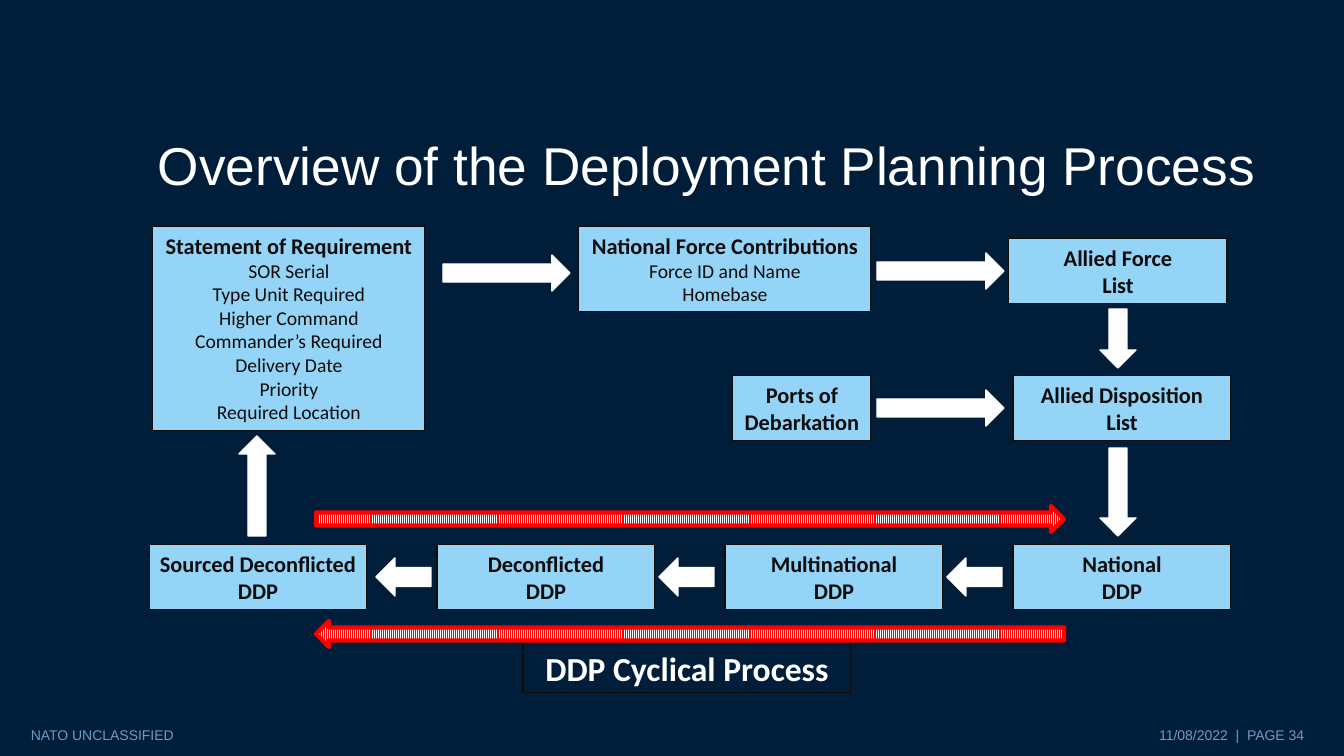
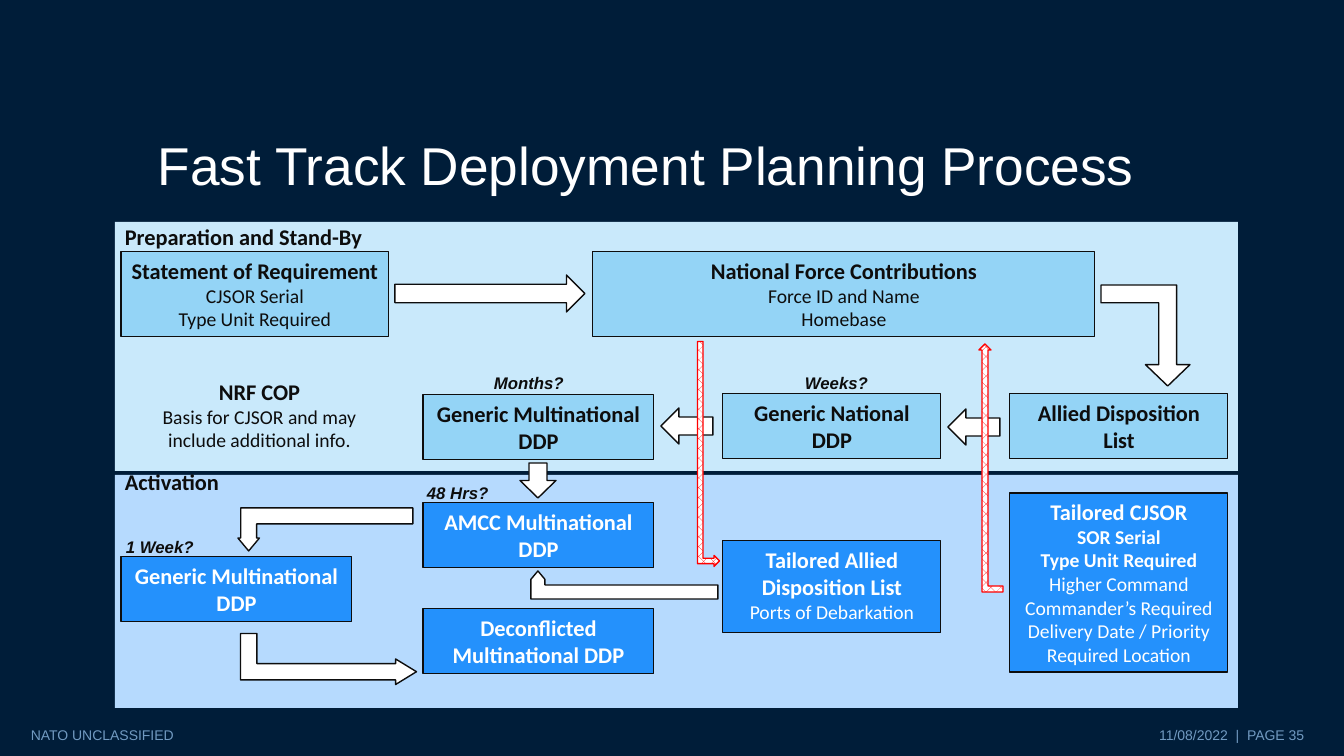
from dataclasses import dataclass
from typing import NamedTuple, Optional

import pptx
import pptx.dml.color
import pptx.enum.dml
import pptx.enum.shapes
import pptx.enum.text
import pptx.oxml
import pptx.oxml.ns
import pptx.util

PRESET = pptx.enum.shapes.MSO_SHAPE
PATTERN = pptx.enum.dml.MSO_PATTERN
ALIGN = pptx.enum.text.PP_ALIGN
ANCHOR = pptx.enum.text.MSO_ANCHOR
EMU_PER_PX = 914400 / 100.8


@dataclass(frozen=True)
class Theme:
    background: str = "001D39"
    footer_ink: str = "719AC1"
    ink: str = "0D0D0D"
    white: str = "FFFFFF"
    red: str = "FF0000"
    light_box: str = "94D4F6"
    strong_box: str = "2491FC"
    preparation: str = "C9E9FB"
    activation: str = "B6DAFE"
    title_size: int = 38
    title_leading: int = 42
    caption_size: int = 24
    head_size: int = 16
    detail_size: int = 14
    timing_size: int = 12
    footer_size: int = 10
    heading_font: str = "Arial"
    body_font: str = "Calibri"


THEME = Theme()


class Frame(NamedTuple):
    left: int
    top: int
    width: int
    height: int


class Line(NamedTuple):
    text: str
    format: dict


@dataclass(frozen=True)
class Box:
    frame: Frame
    lines: tuple = ()
    fill: Optional[str] = None
    border: Optional[str] = None
    ink: str = THEME.ink
    align: ALIGN = ALIGN.CENTER
    anchor: ANCHOR = ANCHOR.TOP
    leading: Optional[int] = None


@dataclass(frozen=True)
class Arrow:
    preset: PRESET
    frame: Frame
    border: str = THEME.white
    weight: int = 1
    pattern: Optional[PATTERN] = None
    rotation: int = 0
    flips: tuple = ()
    adjustments: tuple = ()


# Text formats
def text_format(font: str, size: int, bold: bool = False, italic: bool = False) -> dict:
    return {"name": font, "size": pptx.util.Pt(size), "bold": bold, "italic": italic}


TITLE = text_format(THEME.heading_font, THEME.title_size)
FOOTER = text_format(THEME.heading_font, THEME.footer_size)
TIMING = text_format(THEME.heading_font, THEME.timing_size, True, True)
CAPTION = text_format(THEME.body_font, THEME.caption_size, True)
HEAD = text_format(THEME.body_font, THEME.head_size, True)
DETAIL = text_format(THEME.body_font, THEME.detail_size)
KEY_DETAIL = text_format(THEME.body_font, THEME.detail_size, True)


def lines(style: dict, *texts: str) -> tuple:
    return tuple(Line(text, style) for text in texts)


def light(frame: Frame, *content: Line) -> Box:
    return Box(frame, content, THEME.light_box, THEME.ink)


def strong(frame: Frame, *content: Line) -> Box:
    return Box(frame, content, THEME.strong_box, THEME.ink, THEME.white)


def label(left: int, top: int, text: str, style: dict = HEAD) -> Box:
    return Box(Frame(left, top, 259, 37), lines(style, text), align=ALIGN.LEFT)


# Drawing
def rgb(value: str) -> pptx.dml.color.RGBColor:
    return pptx.dml.color.RGBColor.from_string(value)


def emu(frame: Frame) -> list:
    return [round(length * EMU_PER_PX) for length in frame]


def set_line(shape, color: Optional[str], weight: float) -> None:
    if color is None:
        shape.line.fill.background()
        return
    shape.line.color.rgb = rgb(color)
    shape.line.width = pptx.util.Pt(weight)


def draw_box(slide, box: Box) -> None:
    if box.fill or box.border:
        shape = slide.shapes.add_shape(PRESET.RECTANGLE, *emu(box.frame))
        shape.shadow.inherit = False
        set_line(shape, box.border, 0.75)
        if box.fill:
            shape.fill.solid()
            shape.fill.fore_color.rgb = rgb(box.fill)
        else:
            shape.fill.background()
    else:
        shape = slide.shapes.add_textbox(*emu(box.frame))
    frame = shape.text_frame
    frame.word_wrap = True
    frame.vertical_anchor = box.anchor
    for index, line in enumerate(box.lines):
        paragraph = frame.add_paragraph() if index else frame.paragraphs[0]
        paragraph.alignment = box.align
        if box.leading:
            paragraph.line_spacing = pptx.util.Pt(box.leading)
        run = paragraph.add_run()
        run.text = line.text
        run.font.color.rgb = rgb(box.ink)
        for attribute, value in line.format.items():
            setattr(run.font, attribute, value)


def draw_arrow(slide, arrow: Arrow) -> None:
    shape = slide.shapes.add_shape(arrow.preset, *emu(arrow.frame))
    shape.shadow.inherit = False
    shape.rotation = arrow.rotation
    for flip in arrow.flips:
        shape.element.spPr.xfrm.set(flip, "1")
    for index, value in enumerate(arrow.adjustments):
        shape.adjustments[index] = value
    if arrow.pattern:
        shape.fill.patterned()
        shape.fill.pattern = arrow.pattern
        shape.fill.fore_color.rgb = rgb(THEME.red)
        shape.fill.back_color.rgb = rgb(THEME.white)
    else:
        shape.fill.solid()
        shape.fill.fore_color.rgb = rgb(THEME.white)
    set_line(shape, arrow.border, arrow.weight)


def add_page(deck, title: str, page: int, boxes: list, arrows: list) -> None:
    slide = deck.slides.add_slide(deck.slide_layouts[6])
    furniture = [
        Box(Frame(148, 123, 1167, 88), lines(TITLE, title), ink=THEME.white,
            align=ALIGN.LEFT, anchor=ANCHOR.MIDDLE, leading=THEME.title_leading),
        Box(Frame(21, 715, 454, 40), lines(FOOTER, "NATO UNCLASSIFIED"),
            ink=THEME.footer_ink, align=ALIGN.LEFT, anchor=ANCHOR.MIDDLE),
        Box(Frame(1012, 715, 302, 40), lines(FOOTER, f"11/08/2022  |  PAGE {page}"),
            ink=THEME.footer_ink, align=ALIGN.RIGHT, anchor=ANCHOR.MIDDLE),
    ]
    for box in furniture + boxes:
        draw_box(slide, box)
    for arrow in arrows:
        draw_arrow(slide, arrow)


# Deployment planning overview
def overview(deck) -> None:
    ddp_stages = ("Sourced Deconflicted", "Deconflicted", "Multinational", "National")
    boxes = [
        light(Frame(153, 227, 272, 204), *lines(HEAD, "Statement of Requirement"),
              *lines(DETAIL, "SOR Serial", "Type Unit Required", "Higher Command",
                     "Commander’s Required Delivery Date", "Priority",
                     "Required Location")),
        light(Frame(579, 227, 292, 85), *lines(HEAD, "National Force Contributions"),
              *lines(DETAIL, "Force ID and Name", "Homebase")),
        light(Frame(1009, 239, 218, 65), *lines(HEAD, "Allied Force", "List")),
        light(Frame(733, 376, 138, 65), *lines(HEAD, "Ports of Debarkation")),
        light(Frame(1013, 376, 218, 65), *lines(HEAD, "Allied Disposition List")),
        *(light(Frame(149 + 288 * index, 545, 218, 65), *lines(HEAD, stage, "DDP"))
          for index, stage in enumerate(ddp_stages)),
        Box(Frame(523, 643, 328, 50), lines(CAPTION, "DDP Cyclical Process"),
            border=THEME.ink, ink=THEME.white),
    ]
    arrows = [
        *(Arrow(PRESET.RIGHT_ARROW, Frame(left, top, 127, 36))
          for left, top in ((443, 255), (877, 253), (877, 390))),
        *(Arrow(PRESET.DOWN_ARROW, Frame(1100, top, 36, height))
          for top, height in ((309, 59), (448, 88))),
        *(Arrow(PRESET.LEFT_ARROW, Frame(left, 558, 55, 38))
          for left in (376, 659, 947)),
        Arrow(PRESET.UP_ARROW, Frame(239, 436, 36, 100)),
        *(Arrow(preset, Frame(316, top, 748, 26), THEME.red, 3,
                PATTERN.NARROW_VERTICAL)
          for preset, top in ((PRESET.RIGHT_ARROW, 506), (PRESET.LEFT_ARROW, 621))),
    ]
    add_page(deck, "Overview of the Deployment Planning Process", 34, boxes, arrows)


# Fast track process
def fast_track(deck) -> None:
    boxes = [
        Box(Frame(115, 222, 1123, 249), fill=THEME.preparation),
        Box(Frame(115, 475, 1123, 233), fill=THEME.activation),
        label(115, 218, "Preparation and Stand-By"),
        label(115, 463, "Activation"),
        # Preparation and stand-by
        light(Frame(121, 252, 268, 85), *lines(HEAD, "Statement of Requirement"),
              *lines(DETAIL, "CJSOR Serial", "Type Unit Required")),
        light(Frame(593, 252, 502, 85), *lines(HEAD, "National Force Contributions"),
              *lines(DETAIL, "Force ID and Name", "Homebase")),
        light(Frame(1010, 394, 218, 65), *lines(HEAD, "Allied Disposition List")),
        light(Frame(723, 394, 218, 65), *lines(HEAD, "Generic National", "DDP")),
        light(Frame(423, 395, 231, 65), *lines(HEAD, "Generic Multinational", "DDP")),
        Box(Frame(130, 373, 259, 85), lines(HEAD, "NRF COP")
            + lines(DETAIL, "Basis for CJSOR and may include additional info.")),
        # Activation
        strong(Frame(723, 541, 218, 92),
               *lines(HEAD, "Tailored Allied Disposition List"),
               *lines(DETAIL, "Ports of Debarkation")),
        strong(Frame(1010, 493, 218, 179), *lines(HEAD, "Tailored CJSOR"),
               *lines(KEY_DETAIL, "SOR Serial", "Type Unit Required"),
               *lines(DETAIL, "Higher Command",
                      "Commander’s Required Delivery Date / Priority",
                      "Required Location")),
        strong(Frame(423, 503, 231, 65), *lines(HEAD, "AMCC Multinational", "DDP")),
        strong(Frame(423, 609, 231, 65),
               *lines(HEAD, "Deconflicted Multinational DDP")),
        strong(Frame(121, 557, 231, 65), *lines(HEAD, "Generic Multinational", "DDP")),
        # Timings
        *(label(left, top, text, TIMING) for left, top, text in (
            (484, 368, "Months?"), (795, 368, "Weeks?"),
            (417, 478, "48 Hrs?"), (116, 532, "1 Week?"))),
    ]
    arrows = [
        *(Arrow(preset, Frame(*frame), THEME.ink) for preset, frame in (
            (PRESET.RIGHT_ARROW, (395, 275, 190, 37)),
            (PRESET.LEFT_ARROW, (948, 409, 52, 36)),
            (PRESET.LEFT_ARROW, (661, 408, 52, 36)),
            (PRESET.DOWN_ARROW, (520, 463, 36, 35)))),
        *(Arrow(PRESET.BENT_UP_ARROW, Frame(*frame), THEME.ink, rotation=rotation,
                flips=flips, adjustments=adjustments)
          for frame, rotation, flips, adjustments in (
              ((1101, 285, 89, 101), 0, ("flipV",), (0.2, 0.25, 0.24)),
              ((238, 508, 175, 43), 0, ("flipH", "flipV"), (0.37, 0.25, 0.3)),
              ((303, 571, 51, 176), 90, (), (0.32, 0.25, 0.41)),
              ((531, 571, 187, 28), 0, ("flipH",), (0.5, 0.25, 0.3)))),
        *(Arrow(PRESET.BENT_UP_ARROW, Frame(*frame), THEME.red, 1,
                PATTERN.PERCENT_30, rotation, flips)
          for frame, rotation, flips in (
              ((979, 344, 24, 248), 0, ("flipH",)),
              ((596, 443, 225, 22), 90, ()))),
    ]
    # The last bend runs down its tall side before turning right
    add_page(deck, "Fast Track Deployment Planning Process", 35, boxes, arrows)


def main() -> None:
    deck = pptx.Presentation()
    deck.slide_width, deck.slide_height = (round(side * EMU_PER_PX) for side in (1344, 756))
    backdrop = deck.slide_master.background.fill
    backdrop.solid()
    backdrop.fore_color.rgb = rgb(THEME.background)
    overview(deck)
    fast_track(deck)
    deck.save("out.pptx")


if __name__ == "__main__":
    main()
